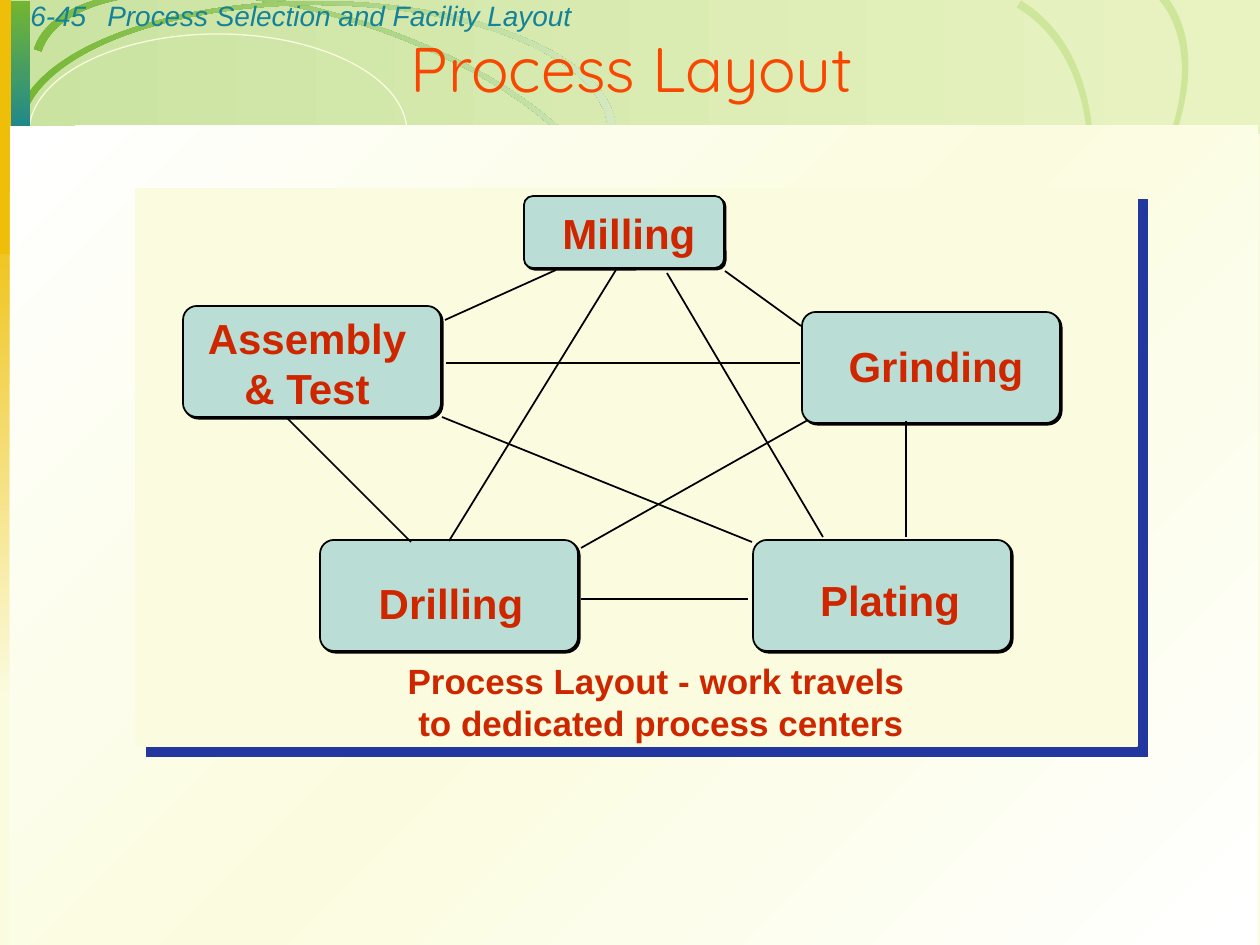
from lxml import etree
from pptx import Presentation
from pptx.dml.color import RGBColor
from pptx.enum import shapes, text
from pptx.oxml import ns
from pptx.util import Pt

PX = 914400 / 126
DEGREE = 60000
COLORS = {
    "cream": "FBFCDF", "white": "FFFFFF", "gold": "EFBE09", "green": "74B632",
    "pale": "D5E9C1", "lime": "CDE69A", "teal": "148298", "orange": "F84700",
    "band_left": "CAE3A1", "band_right": "E9F3C2",
    "mint": "BADED5", "red": "CE2700", "navy": "2237A0", "black": "000000",
}
# name, left, top, width, height, label shift right, label shift down
STATIONS = [
    ("Assembly\n& Test", 47, 117, 258, 111, -5, 1),
    ("Drilling", 184, 351, 258, 111, 2, 7),
    ("Grinding", 666, 123, 258, 111, 5, -2),
    ("Plating", 617, 351, 258, 111, 8, 4),
    ("Milling", 388, 7, 200, 72, 5, 1),
]
ROUTES = [
    (313, 352, 480, 81), (309, 131, 420, 81), (310, 174, 664, 174),
    (306, 228, 616, 353), (275, 353, 150, 228), (445, 410, 612, 410),
    (770, 348, 770, 232), (445, 359, 672, 231), (531, 84, 687, 348),
    (589, 82, 665, 137),
]


def emu(*lengths):
    return [round(length * PX) for length in lengths]


def rgb(name):
    return RGBColor.from_string(COLORS[name])


def child(parent, tag, **attributes):
    return etree.SubElement(parent, ns.qn(tag), {k: str(v) for k, v in attributes.items()})


def paint(shape, fill=(), angle=0, line=None, width=1):
    """Fill with no colour, one colour or an even gradient; angle is clockwise."""
    shape.shadow.inherit = False
    if not fill:
        shape.fill.background()
    elif len(fill) == 1:
        shape.fill.solid()
        shape.fill.fore_color.rgb = rgb(fill[0])
    else:
        shape.fill.gradient()
        gradient = shape._element.spPr.find(ns.qn("a:gradFill"))
        for part in list(gradient):
            gradient.remove(part)
        stops = child(gradient, "a:gsLst")
        for i, name in enumerate(fill):
            stop = child(stops, "a:gs", pos=round(100000 * i / (len(fill) - 1)))
            child(stop, "a:srgbClr", val=COLORS[name])
        child(gradient, "a:lin", ang=angle * DEGREE, scaled=0)
    if line:
        shape.line.color.rgb = rgb(line)
        shape.line.width = Pt(width)
    else:
        shape.line.fill.background()


def cast_shadow(shape, color, distance):
    effects = shape._element.spPr.find(ns.qn("a:effectLst"))
    shadow = child(effects, "a:outerShdw", blurRad=0, dist=Pt(distance),
                   dir=45 * DEGREE, algn="ctr", rotWithShape=0)
    child(shadow, "a:srgbClr", val=COLORS[color])


def add_box(slide, box, fill=(), kind=shapes.MSO_SHAPE.RECTANGLE, **style):
    shape = slide.shapes.add_shape(kind, *emu(*box))
    paint(shape, fill, **style)
    return shape


def set_text(frame, words, size, color, font="Arial", align=text.PP_ALIGN.CENTER,
             anchor=text.MSO_ANCHOR.MIDDLE, bold=False, italic=False):
    frame.word_wrap = True
    frame.vertical_anchor = anchor
    paragraph = frame.paragraphs[0]
    paragraph.text = words
    paragraph.alignment = align
    style = paragraph.font
    style.size, style.name, style.bold, style.italic = Pt(size), font, bold, italic
    style.color.rgb = rgb(color)


def add_label(slide, box, words, size, color, **style):
    label = slide.shapes.add_textbox(*emu(*box))
    set_text(label.text_frame, words, size, color, **style)


def add_half_ring(slide, box, tilt, fill, angle=0, side=1):
    """Upper (side 1) or lower (side -1) half of an elliptical ring that fills the box."""
    left, top, width, height = emu(*box)
    thick, thin = emu(8, 4)
    rx, ry = width // 2, height // 2
    builder = slide.shapes.build_freeform(left, top)
    builder.add_line_segments([(left + width, top), (left + width, top + height)])
    ring = builder.convert_to_shape()
    outline = next(ring._element.iter(ns.qn("a:path")))
    for part in list(outline):
        outline.remove(part)
    child(child(outline, "a:moveTo"), "a:pt", x=thick, y=ry)
    child(outline, "a:arcTo", wR=rx - thick, hR=ry - thin,
          stAng=180 * DEGREE, swAng=side * 180 * DEGREE)
    child(child(outline, "a:lnTo"), "a:pt", x=width, y=ry)
    child(outline, "a:arcTo", wR=rx, hR=ry, stAng=0, swAng=-side * 180 * DEGREE)
    child(outline, "a:close")
    ring.rotation = tilt
    paint(ring, fill, angle=angle)


def add_backdrop(slide, width, height):
    slide.background.fill.solid()
    slide.background.fill.fore_color.rgb = rgb("cream")
    add_box(slide, (1, 0, width - 1, 134), ("band_left", "band_right"))
    add_half_ring(slide, (20, 14, 601, 251), 17.5, ("green", "pale"), angle=342)
    add_box(slide, (29, 34, 378, 197), kind=shapes.MSO_SHAPE.OVAL, line="cream", width=0.75)
    add_box(slide, (0, 195, 28, 505), ("gold", "cream"), angle=90)
    add_half_ring(slide, (639, 30, 601, 326), 318.2, ("lime",), side=-1)
    add_half_ring(slide, (567, 66, 601, 386), 300.7, ("lime",), side=-1)
    add_half_ring(slide, (15, 1, 601, 261), 0, ("green", "pale"))
    add_box(slide, (1, 1, 29, 144), ("green", "teal"), angle=90)
    add_box(slide, (0, 0, 11, 254), ("gold",))
    add_box(slide, (10, 126, width - 12, height - 126), ("white", "cream", "white"), angle=45)


def add_header(slide, left, top):
    for words, x, width in (("6-45", 8, 97), ("Process Selection and Facility Layout", 85, 1071)):
        add_label(slide, (left + x, top, width, 47), words, 16, "teal", italic=True,
                  align=text.PP_ALIGN.LEFT, anchor=text.MSO_ANCHOR.TOP)


def add_diagram(slide, left, top, width, height):
    panel = add_box(slide, (left, top, width, height), ("cream",), line="cream")
    cast_shadow(panel, "navy", 8.5)
    add_label(slide, (left - 105, top + 464, 1260, 96),
              "Process Layout - work travels \nto dedicated process centers", 20, "red", bold=True)
    for name, x, y, w, h, right, down in STATIONS:
        station = add_box(slide, (left + x, top + y, w, h), ("mint",),
                          kind=shapes.MSO_SHAPE.ROUNDED_RECTANGLE, line="black")
        station.adjustments[0] = 0.125
        cast_shadow(station, "black", 1.4)
        add_label(slide, (left + x + right, top + y + down, w, h), name, 24, "red", bold=True)
    for x1, y1, x2, y2 in ROUTES:
        route = slide.shapes.add_connector(
            shapes.MSO_CONNECTOR.STRAIGHT, *emu(left + x1, top + y1, left + x2, top + y2))
        route.line.color.rgb = rgb("black")
        route.line.width = Pt(1)
        child(route._element.spPr, "a:effectLst")


def add_title(slide, *box):
    title = slide.shapes.title
    title.left, title.top, title.width, title.height = emu(*box)
    set_text(title.text_frame, "Process Layout", 36, "orange", font="Quicksand")
    title.text_frame.auto_size = text.MSO_AUTO_SIZE.NONE
    slide.shapes._spTree.append(title._element)  # in front of the backdrop


def main():
    deck = Presentation()
    deck.slide_width, deck.slide_height = emu(1260, 945)
    slide = deck.slides.add_slide(deck.slide_layouts[5])
    add_backdrop(slide, 1260, 945)
    add_header(slide, 10, -8)
    add_diagram(slide, 136, 189, 1001, 557)
    add_title(slide, 4, 43, 1256, 49)
    deck.save("out.pptx")


if __name__ == "__main__":
    main()
